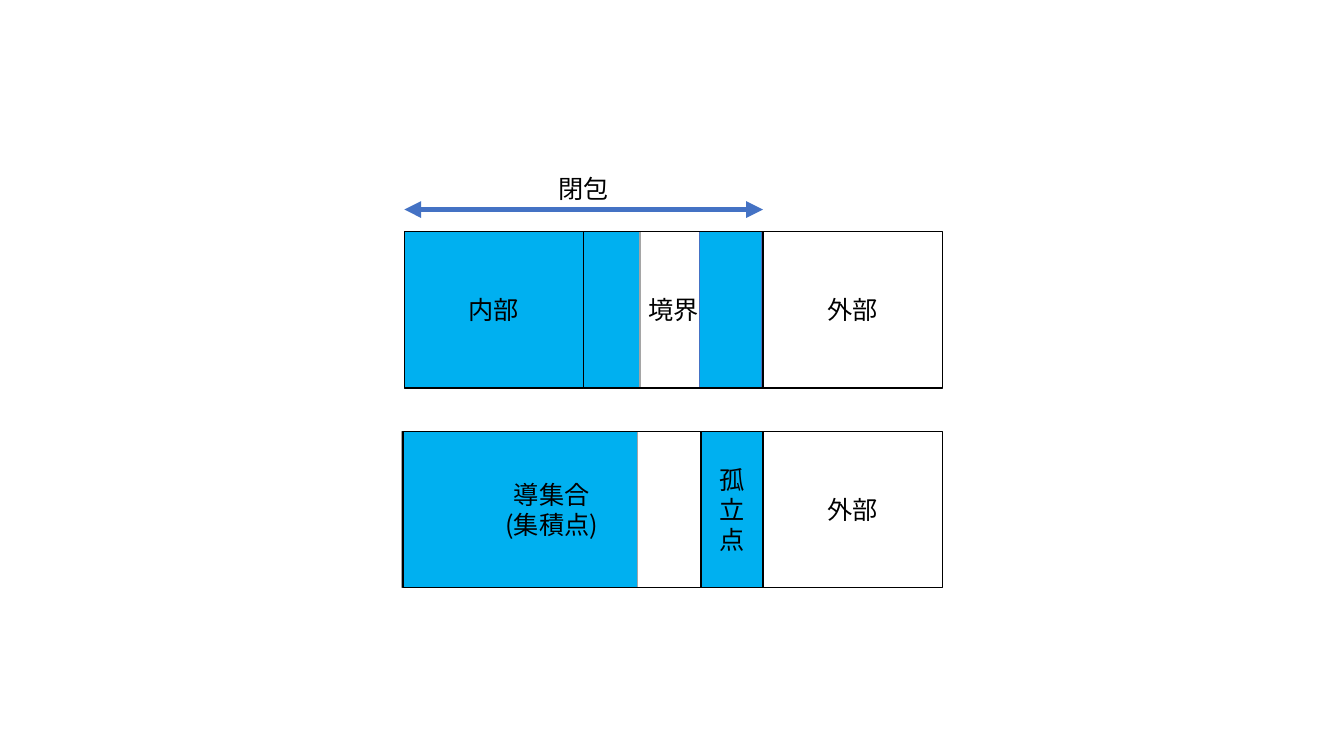
from pptx import Presentation
from pptx.dml.color import RGBColor as RGB
from pptx.enum.lang import MSO_LANGUAGE_ID as LANG
from pptx.enum.shapes import MSO_CONNECTOR as CONN, MSO_SHAPE as SHAPE
from pptx.enum.text import MSO_ANCHOR as ANCHOR, MSO_AUTO_SIZE as AUTO, PP_ALIGN as ALIGN
from pptx.oxml.ns import qn
from pptx.util import Cm, Pt
from lxml.etree import SubElement

COLORS = {"cyan": "00B0F0", "blue": "4472C4", "gray": "A5A5A5", "black": "000000", "white": "FFFFFF"}


class Diagram:
    font = "Noto Sans CJK JP"
    text_format = {"size": Pt(18), "name": font, "language_id": LANG.JAPANESE}

    def __init__(self, slide):
        self.s = slide

    def color(self, name):
        return RGB.from_string(COLORS[name])

    def fill_text(self, tf, lines, align):
        for i, line in enumerate(lines):
            p = tf.paragraphs[0] if i == 0 else tf.add_paragraph()
            p.alignment = align
            r = p.add_run()
            r.text = line
            for key, value in self.text_format.items():
                setattr(r.font, key, value)
            r.font.color.rgb = self.color("black")
            SubElement(r.font._element, qn("a:ea"), typeface=self.font)

    def box(self, left, top, width, height, lines=(), fill=None, line="black"):
        sp = self.s.shapes.add_shape(SHAPE.RECTANGLE, Cm(left), Cm(top), Cm(width), Cm(height))
        sp.shadow.inherit = False
        if fill:
            sp.fill.solid()
            sp.fill.fore_color.rgb = self.color(fill)
        else:
            sp.fill.background()
        sp.line.color.rgb = self.color(line)
        sp.line.width = Pt(1)
        tf = sp.text_frame
        tf.word_wrap = True
        tf.vertical_anchor = ANCHOR.MIDDLE
        self.fill_text(tf, lines, ALIGN.CENTER)

    def label(self, left, top, width, height, text):
        tf = self.s.shapes.add_textbox(Cm(left), Cm(top), Cm(width), Cm(height)).text_frame
        tf.word_wrap = False
        tf.auto_size = AUTO.SHAPE_TO_FIT_TEXT
        self.fill_text(tf, [text], ALIGN.LEFT)

    def double_arrow(self, x1, x2, y):
        c = self.s.shapes.add_connector(CONN.STRAIGHT, Cm(x1), Cm(y), Cm(x2), Cm(y))
        c.line.color.rgb = self.color("blue")
        c.line.width = Pt(4)
        ln = c._element.spPr.find(qn("a:ln"))
        for end in ("a:headEnd", "a:tailEnd"):
            SubElement(ln, qn(end), type="triangle")
        SubElement(c._element.spPr, qn("a:effectLst"))


prs = Presentation()
prs.slide_width, prs.slide_height = Cm(33.87), Cm(19.05)
d = Diagram(prs.slides.add_slide(prs.slide_layouts[6]))

LEFT, CELL, HEIGHT = 10.19, 4.52, 3.94
TOP, LOWER = 5.84, 10.87
SET_W, ISOLATED_W, DERIVED_W = 5.94, 1.56, 7.49
OUTSIDE = LEFT + 2 * CELL
ISOLATED = OUTSIDE - ISOLATED_W

d.box(17.63, TOP, ISOLATED_W, HEIGHT, fill="cyan", line="blue")
d.box(LEFT, TOP, SET_W, HEIGHT, fill="cyan", line="gray")
d.box(ISOLATED, LOWER, ISOLATED_W, HEIGHT, fill="cyan", line="blue")
for i, name in enumerate(["内部", "境界", "外部"]):
    d.box(LEFT + i * CELL, TOP, CELL, HEIGHT, [name])

d.box(ISOLATED, LOWER, ISOLATED_W, HEIGHT, ["孤立点"])
d.box(OUTSIDE, LOWER, CELL, HEIGHT, ["外部"], fill="white")
d.box(10.13, LOWER, SET_W, HEIGHT, fill="cyan", line="gray")
d.double_arrow(LEFT, OUTSIDE, 5.28)
d.label(13.82, 4.24, 1.8, 1.02, "閉包")
d.box(10.16, LOWER, DERIVED_W, HEIGHT, ["導集合", "(集積点)"])

prs.save("out.pptx")
